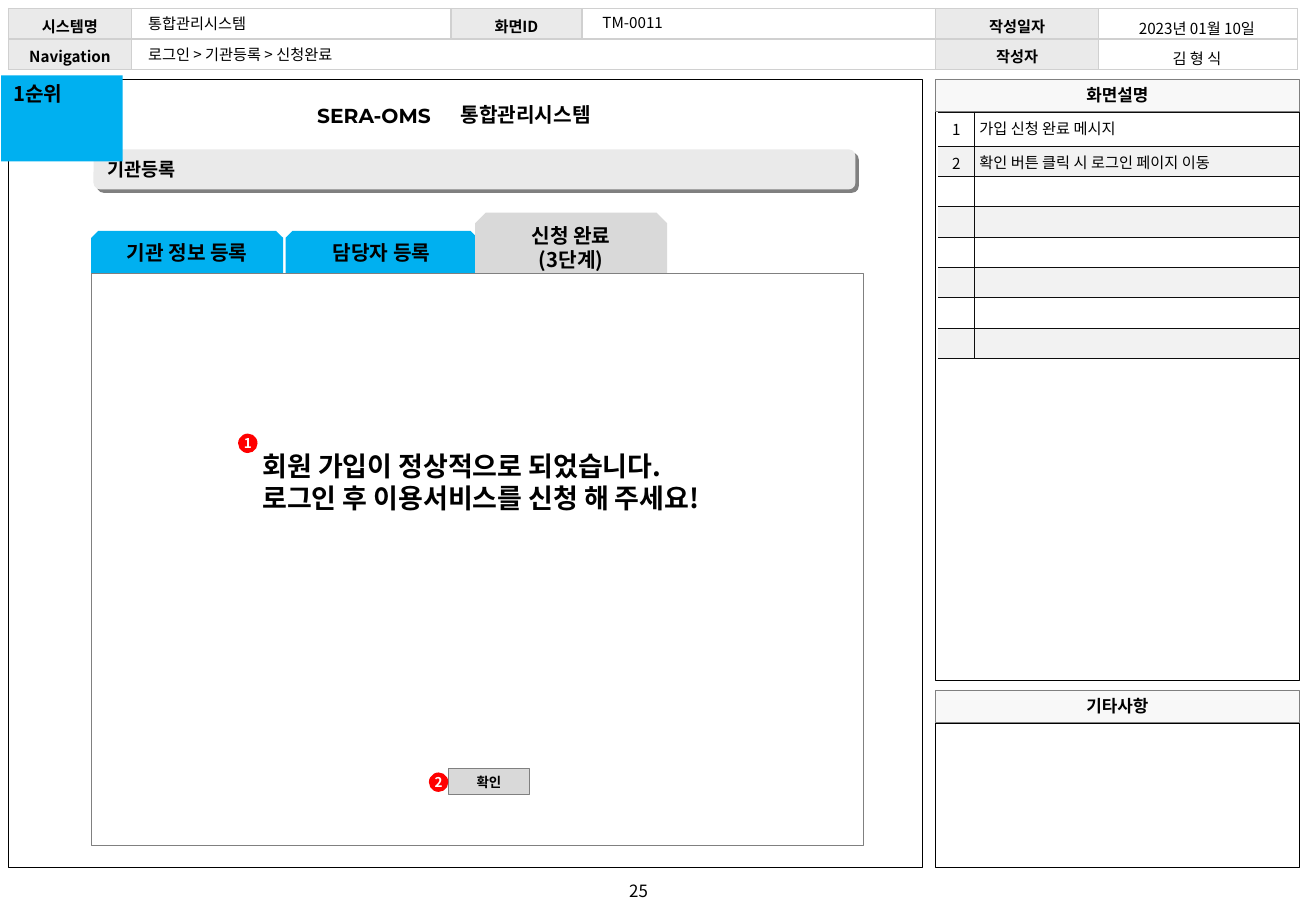
from lxml.etree import SubElement
from pptx import Presentation
from pptx.dml.color import RGBColor
from pptx.enum.shapes import MSO_SHAPE as Shape
from pptx.enum.text import MSO_ANCHOR as Anchor, PP_ALIGN as Align
from pptx.oxml.ns import qn
from pptx.util import Inches, Pt

COLORS = {
    "black": "000000", "white": "FFFFFF", "ink": "0D0D0D", "gray": "808080",
    "grid": "D0D0D0", "button": "D9D9D9", "label": "EAEAEA", "band": "F2F2F2",
    "heading": "F8F8F8", "blue": "00B0F0", "red": "FF0000",
}
NO_TABLE_STYLE = "{2D5ABB26-0587-4C30-8999-92F81FD0307C}"
TEXT_INSETS = (0.1, 0.05, 0.1, 0.05)
TIGHT_INSETS = (0.04, 0.05, 0.04, 0.05)
NO_INSETS = (0, 0, 0, 0)


class Wireframe:
    font = "Noto Sans CJK KR"

    def __init__(self, page):
        self.page = page

    def color(self, name):
        return RGBColor.from_string(COLORS[name])

    def add_lines(self, frame, text, size, bold=False, color="black",
                  align=Align.LEFT, font=None):
        face = font or self.font
        for index, line in enumerate(text.split("\n")):
            para = frame.add_paragraph() if index else frame.paragraphs[0]
            para.alignment = align
            if not line:
                SubElement(para._p, qn("a:endParaRPr"), sz=str(size * 100))
                continue
            span = para.add_run()
            span.text = line
            span.font.size = Pt(size)
            span.font.bold = bold
            span.font.name = face
            span.font.color.rgb = self.color(color)
            SubElement(span._r.get_or_add_rPr(), qn("a:ea"), typeface=face)

    def layout(self, frame, insets, anchor, wrap=True):
        frame.word_wrap = wrap
        frame.vertical_anchor = anchor
        (frame.margin_left, frame.margin_top,
         frame.margin_right, frame.margin_bottom) = map(Inches, insets)

    def text(self, place, text, size, insets=TEXT_INSETS, anchor=Anchor.TOP, **style):
        box = self.page.shapes.add_textbox(*map(Inches, place))
        self.layout(box.text_frame, insets, anchor)
        self.add_lines(box.text_frame, text, size, **style)

    def shape(self, kind, place, fill=None, line=None, weight=0.25, text="", size=10,
              insets=TEXT_INSETS, anchor=Anchor.TOP, wrap=True, bold=True,
              align=Align.CENTER, color="black"):
        box = self.page.shapes.add_shape(kind, *map(Inches, place))
        box.shadow.inherit = False
        if fill:
            box.fill.solid()
            box.fill.fore_color.rgb = self.color(fill)
        else:
            box.fill.background()
        if line:
            box.line.color.rgb = self.color(line)
            box.line.width = Pt(weight)
        else:
            box.line.fill.background()
        if text:
            self.layout(box.text_frame, insets, anchor, wrap)
            self.add_lines(box.text_frame, text, size, bold, color, align)
        return box

    def drop_shadow(self, box, color):
        effects = box._element.spPr.find(qn("a:effectLst"))
        shadow = SubElement(effects, qn("a:outerShdw"), dist=str(Pt(2.8)),
                            dir=str(45 * 60000), algn="ctr", rotWithShape="0")
        SubElement(shadow, qn("a:srgbClr"), val=COLORS[color])

    def badge(self, left, top, number):
        self.shape(Shape.OVAL, (left, top, 0.16, 0.16), "red", text=number, size=8,
                   color="white", insets=NO_INSETS, anchor=Anchor.MIDDLE, wrap=False)

    def table(self, left, top, widths, heights):
        grid = self.page.shapes.add_table(
            len(heights), len(widths), Inches(left), Inches(top),
            Inches(sum(widths)), Inches(sum(heights))).table
        grid.first_row = grid.horz_banding = False
        grid._tbl.tblPr.find(qn("a:tableStyleId")).text = NO_TABLE_STYLE
        for column, width in zip(grid.columns, widths):
            column.width = Inches(width)
        for row, height in zip(grid.rows, heights):
            row.height = Inches(height)
        return grid

    def cell(self, cell, text="", fill=None, borders="", line="ink", weight=0.25,
             insets=(0.1, 0.03, 0.1, 0), anchor=Anchor.MIDDLE,
             align=Align.CENTER, bold=False):
        cell.vertical_anchor = anchor
        (cell.margin_left, cell.margin_top,
         cell.margin_right, cell.margin_bottom) = map(Inches, insets)
        for side in borders:
            edge = SubElement(cell._tc.get_or_add_tcPr(), qn("a:ln" + side),
                              w=str(Pt(weight)))
            paint = SubElement(edge, qn("a:solidFill"))
            SubElement(paint, qn("a:srgbClr"), val=COLORS[line])
        if fill:
            cell.fill.solid()
            cell.fill.fore_color.rgb = self.color(fill)
        else:
            cell.fill.background()
        self.add_lines(cell.text_frame, text, 9, bold, align=align)


def draw_frames(frame):
    frame.shape(Shape.RECTANGLE, (0.07, 0.65, 7.52, 6.49), line="black")
    for title, top, body_top, body_height in (
            ("화면설명", 0.65, 0.91, 4.69), ("기타사항", 5.68, 5.95, 1.19)):
        frame.shape(Shape.RECTANGLE, (7.7, body_top, 2.99, body_height), line="black")
        frame.shape(Shape.RECTANGLE, (7.7, top, 2.99, 0.27), "heading", "gray", text=title)
    frame.text((4.9, 7.2, 0.71, 0.27), "25", 10, anchor=Anchor.MIDDLE, align=Align.CENTER)


def draw_header(frame):
    header = frame.table(0.07, 0.07, (1.01, 2.63, 1.08, 2.91, 1.34, 1.64), (0.25, 0.25))
    header.cell(1, 1).merge(header.cell(1, 3))
    labels = (("시스템명", "", "화면ID", "", "작성일자", ""),
              ("Navigation", "", "", "", "작성자", ""))
    for row, names in enumerate(labels):
        for column, name in enumerate(names):
            frame.cell(header.cell(row, column), name, "label" if name else None,
                       "LRTB", "grid", 1, bold=True)
    for place, value in (((1.12, 0.07, 1.09, 0.25), "통합관리시스템"),
                         ((1.12, 0.32, 1.94, 0.25), "로그인 > 기관등록 > 신청완료"),
                         ((4.86, 0.06, 0.8, 0.25), "TM-0011")):
        frame.text(place, value, 9)
    author = frame.table(9.03, 0.09, (1.64,), (0.25, 0.25))
    for row, value in enumerate(("2023년 01월 10일", "김 형 식")):
        frame.cell(author.cell(row, 0), value)


def draw_descriptions(frame):
    notes = ("가입 신청 완료 메시지", "확인 버튼 클릭 시 로그인 페이지 이동")
    table = frame.table(7.72, 0.92, (0.3, 2.67), [0.28] + [0.25] * 7)
    for row in range(8):
        fill = "band" if row % 2 else None
        number, note = (str(row + 1), notes[row]) if row < len(notes) else ("", "")
        frame.cell(table.cell(row, 0), number, fill, "RTB",
                   insets=(0, 0.05, 0, 0), anchor=Anchor.TOP)
        frame.cell(table.cell(row, 1), note, fill, "LRTB",
                   insets=(0.04, 0.04, 0.04, 0), anchor=Anchor.TOP, align=Align.LEFT)


def draw_screen(frame):
    for left, name in ((2.35, "담당자 등록"), (0.75, "기관 정보 등록")):
        frame.shape(Shape.SNIP_2_SAME_RECTANGLE, (left, 1.9, 1.58, 0.35), "blue",
                    text=name, size=12)
    frame.shape(Shape.SNIP_2_SAME_RECTANGLE, (3.91, 1.75, 1.58, 0.53), "button",
                text="신청 완료\n(3단계)", size=12, insets=(0.1, 0.04, 0.1, 0.04),
                anchor=Anchor.MIDDLE)
    frame.shape(Shape.RECTANGLE, (0.75, 2.25, 6.36, 4.71), "white", "gray", 0.5)
    frame.text((2.12, 3.65, 4.16, 0.64),
               "회원 가입이 정상적으로 되었습니다.\n로그인 후 이용서비스를 신청 해 주세요!",
               16, TIGHT_INSETS, bold=True)
    frame.shape(Shape.RECTANGLE, (3.69, 6.33, 0.67, 0.21), "button", "gray", 0.5,
                "확인", 8, NO_INSETS, Anchor.MIDDLE)
    title_bar = frame.shape(Shape.ROUNDED_RECTANGLE, (0.77, 1.23, 6.27, 0.33), "label",
                            text="기관등록", size=11, anchor=Anchor.MIDDLE,
                            align=Align.LEFT)
    frame.drop_shadow(title_bar, "gray")
    frame.text((3.75, 0.79, 1.65, 0.3), "통합관리시스템", 12, TIGHT_INSETS, bold=True)
    frame.text((2.57, 0.8, 1.21, 0.3), "SERA-OMS", 12, TIGHT_INSETS, bold=True,
               font="Montserrat")
    frame.badge(3.53, 6.36, "2")
    frame.badge(1.96, 3.57, "1")
    frame.shape(Shape.RECTANGLE, (0.01, 0.62, 1, 0.71), "blue", text="1순위", size=12,
                align=Align.LEFT)


def main():
    deck = Presentation()
    deck.slide_width, deck.slide_height = Inches(10.83), Inches(7.5)
    frame = Wireframe(deck.slides.add_slide(deck.slide_layouts[6]))
    draw_frames(frame)
    draw_header(frame)
    draw_descriptions(frame)
    draw_screen(frame)
    deck.save("out.pptx")


if __name__ == "__main__":
    main()
